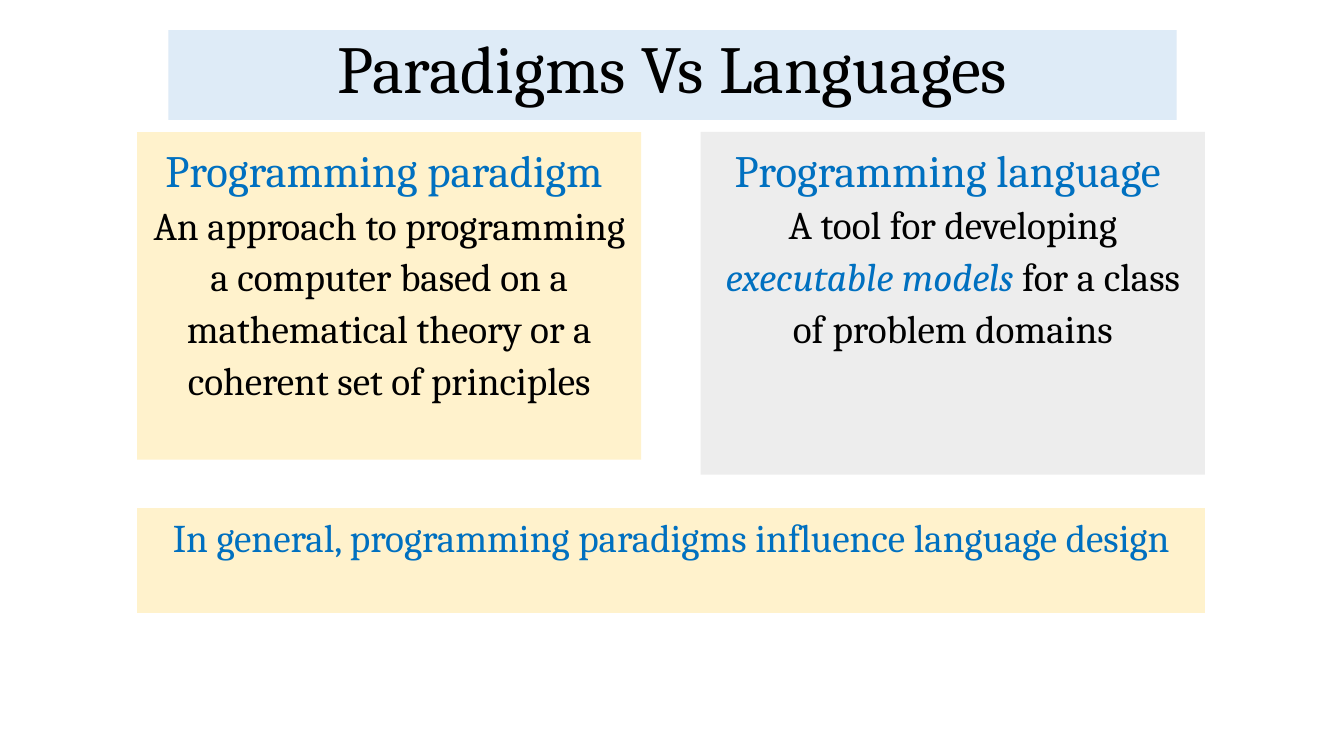
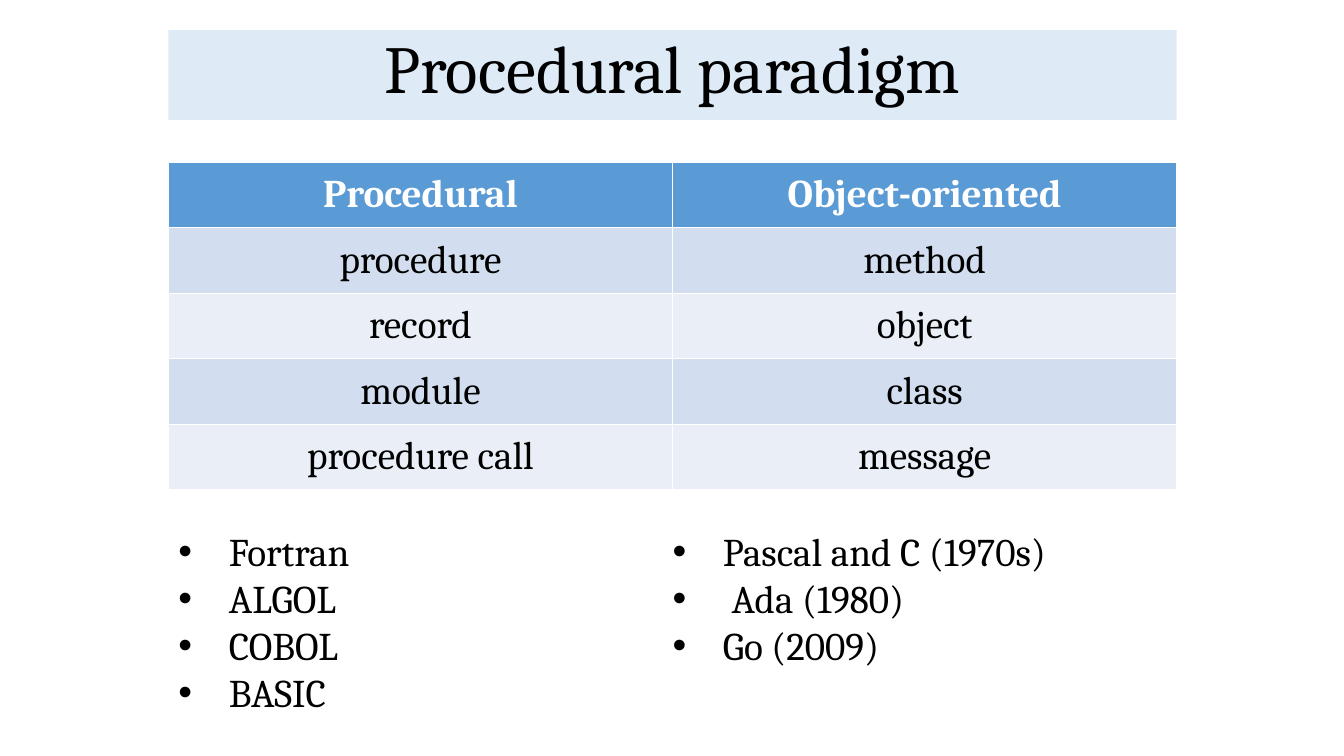
from lxml import etree
from pptx import Presentation
from pptx import util as u
from pptx.dml.color import RGBColor
from pptx.enum import shapes, text
from pptx.oxml.ns import qn

PX = 9144  # EMU in one px, 100 px to the inch
FONT = "Cambria"
BLACK = RGBColor(0x00, 0x00, 0x00)
WHITE = RGBColor(0xFF, 0xFF, 0xFF)
ACCENT = RGBColor(0x00, 0x70, 0xC0)
TITLE_FILL = RGBColor(0xDE, 0xEB, 0xF7)
CREAM = RGBColor(0xFF, 0xF2, 0xCC)
GREY = RGBColor(0xED, 0xED, 0xED)
HEADER_FILL = RGBColor(0x5B, 0x9B, 0xD5)
BAND_FILLS = RGBColor(0xD2, 0xDE, 0xEF), RGBColor(0xEA, 0xEF, 0xF7)

SLIDE_SIZE = 1333, 750
MARGIN, CONTENT_WIDTH = 167, 1000
TITLE_BOX = MARGIN, 30, CONTENT_WIDTH, 89
TITLE_SIZE, HEADING_SIZE, BODY_SIZE = 48, 32, 28
TITLE_ONLY, TITLE_AND_CONTENT = 5, 1

# Each panel: box, fill, line spacing, paragraphs of (text, size, colour, italic) runs
PANELS = [
    ((136, 131, 500, 325), CREAM, 1.1, [
        [("Programming paradigm ", HEADING_SIZE, ACCENT, False)],
        [("An approach to programming a computer based on a mathematical theory "
          "or a coherent set of principles", BODY_SIZE, BLACK, False)],
    ]),
    ((695, 131, 500, 340), GREY, 1.1, [
        [("Programming language ", HEADING_SIZE, ACCENT, False)],
        [("A tool for developing ", BODY_SIZE, BLACK, False),
         ("executable models ", BODY_SIZE, ACCENT, True),
         ("for a class of problem domains", BODY_SIZE, BLACK, False)],
    ]),
    ((136, 504, 1059, 104), CREAM, 1.0, [
        [("In general, programming paradigms influence language design",
          BODY_SIZE, ACCENT, False)],
    ]),
]

TERMS = [
    ("Procedural", "Object-oriented"),
    ("procedure", "method"),
    ("record", "object"),
    ("module", "class"),
    ("procedure call", "message"),
]
TABLE_TOP, ROW_HEIGHT = 161, 65

LANGUAGES = ["Fortran", "ALGOL", "COBOL", "BASIC",
             "Pascal and C (1970s)", " Ada (1980)", "Go (2009)"]
LIST_BOX = MARGIN, 518, CONTENT_WIDTH, 199
LIST_INDENT = 50


def emu(box):
    return [length * PX for length in box]


def place(shape, box):
    shape.left, shape.top, shape.width, shape.height = emu(box)


def add_run(paragraph, words, size, color, bold=False, italic=False):
    run = paragraph.add_run()
    run.text = words
    font = run.font
    font.name, font.size, font.bold, font.italic = FONT, u.Pt(size), bold, italic
    font.color.rgb = color


def paragraphs_for(frame, items):
    """Yield each item with its own paragraph, reusing the frame's first one."""
    for index, item in enumerate(items):
        yield frame.add_paragraph() if index else frame.paragraphs[0], item


def prepare_frame(shape):
    frame = shape.text_frame
    frame.word_wrap = True
    frame.auto_size = text.MSO_AUTO_SIZE.NONE
    frame.vertical_anchor = text.MSO_ANCHOR.TOP
    return frame


def fill_solid(target, color):
    target.fill.solid()
    target.fill.fore_color.rgb = color


def add_slide(presentation, layout, title):
    slide = presentation.slides.add_slide(presentation.slide_layouts[layout])
    shape = slide.shapes.title
    place(shape, TITLE_BOX)
    fill_solid(shape, TITLE_FILL)
    paragraph = prepare_frame(shape).paragraphs[0]
    paragraph.alignment = text.PP_ALIGN.CENTER
    paragraph.line_spacing = 0.9
    add_run(paragraph, title, TITLE_SIZE, BLACK)
    return slide


def add_panel(slide, box, fill, line_spacing, paragraphs):
    shape = slide.shapes.add_shape(shapes.MSO_SHAPE.RECTANGLE, *emu(box))
    shape.shadow.inherit = False
    fill_solid(shape, fill)
    shape.line.fill.background()
    for paragraph, runs in paragraphs_for(prepare_frame(shape), paragraphs):
        paragraph.alignment = text.PP_ALIGN.CENTER
        paragraph.line_spacing = line_spacing
        for words, size, color, italic in runs:
            add_run(paragraph, words, size, color, italic=italic)


def add_terms_table(slide):
    box = MARGIN, TABLE_TOP, CONTENT_WIDTH, ROW_HEIGHT * len(TERMS)
    table = slide.shapes.add_table(len(TERMS), len(TERMS[0]), *emu(box)).table
    for row, terms in enumerate(TERMS):
        is_header = row == 0
        fill = HEADER_FILL if is_header else BAND_FILLS[(row - 1) % 2]
        for column, term in enumerate(terms):
            cell = table.cell(row, column)
            fill_solid(cell, fill)
            cell.vertical_anchor = text.MSO_ANCHOR.MIDDLE
            paragraph = cell.text_frame.paragraphs[0]
            paragraph.alignment = text.PP_ALIGN.CENTER
            add_run(paragraph, term, BODY_SIZE, WHITE if is_header else BLACK, bold=is_header)


def add_bullet(paragraph):
    properties = paragraph._p.get_or_add_pPr()
    properties.set("marL", str(LIST_INDENT * PX))
    properties.set("indent", str(-LIST_INDENT * PX))
    etree.SubElement(properties, qn("a:buFont"), typeface="Arial")
    etree.SubElement(properties, qn("a:buChar"), char="•")


def fill_language_list(shape):
    place(shape, LIST_BOX)
    frame = prepare_frame(shape)
    frame._txBody.bodyPr.set("numCol", "2")
    for paragraph, language in paragraphs_for(frame, LANGUAGES):
        add_bullet(paragraph)
        paragraph.space_before = u.Pt(0)
        add_run(paragraph, language, BODY_SIZE, BLACK)


def main():
    presentation = Presentation()
    presentation.slide_width, presentation.slide_height = emu(SLIDE_SIZE)

    comparison = add_slide(presentation, TITLE_ONLY, "Paradigms Vs Languages")
    for panel in PANELS:
        add_panel(comparison, *panel)

    procedural = add_slide(presentation, TITLE_AND_CONTENT, "Procedural paradigm")
    add_terms_table(procedural)
    fill_language_list(procedural.placeholders[1])

    presentation.save("out.pptx")


if __name__ == "__main__":
    main()
